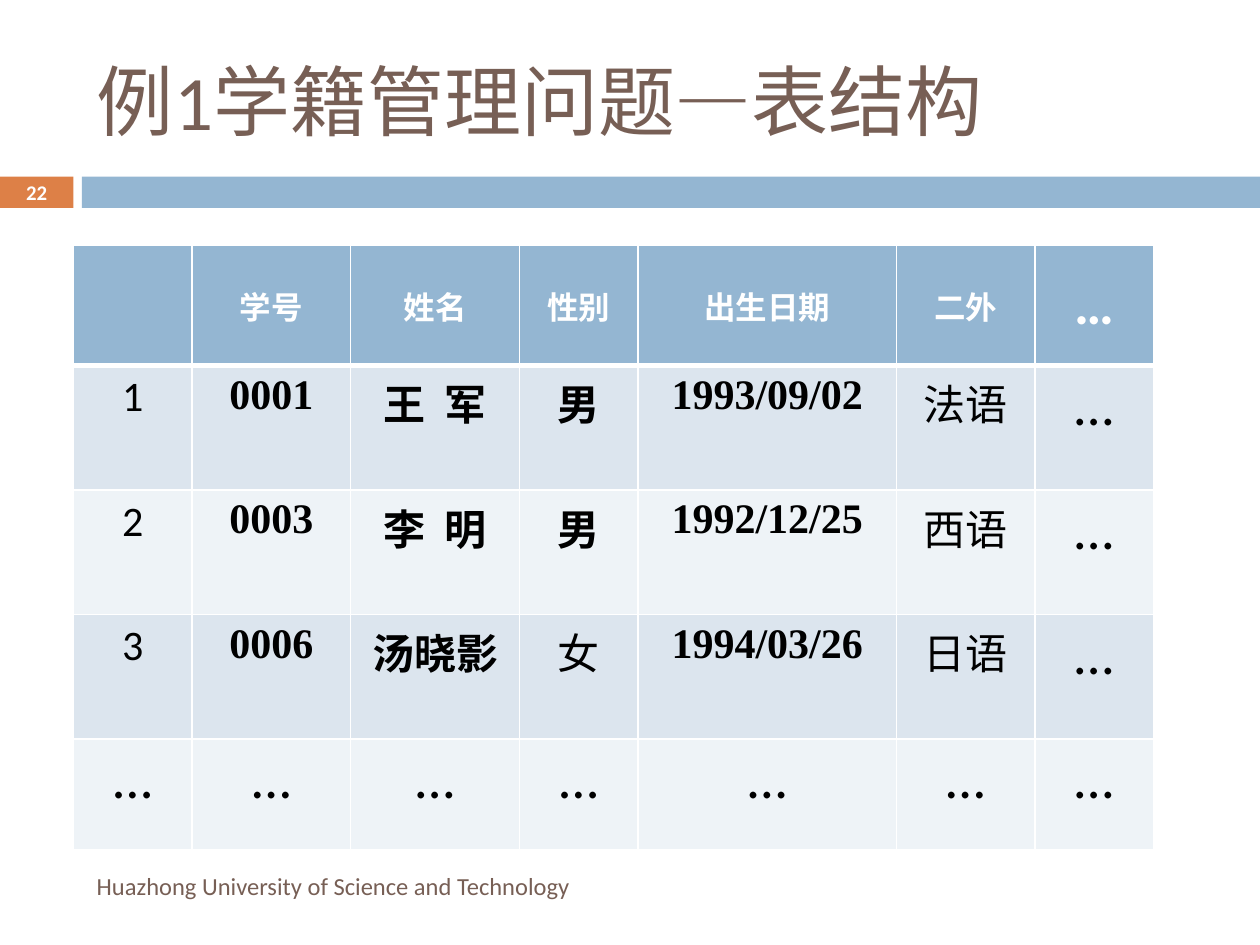
from lxml.etree import SubElement
from pptx import Presentation
from pptx.dml.color import RGBColor
from pptx.enum.shapes import MSO_SHAPE
from pptx.enum.text import MSO_ANCHOR, PP_ALIGN
from pptx.oxml.ns import qn
from pptx.util import Cm, Pt


def color(value):
    return RGBColor.from_string(value)


def format_text(frame, text, size, font_name, font_color, bold=False, align=PP_ALIGN.LEFT):
    frame.word_wrap = True
    frame.vertical_anchor = MSO_ANCHOR.MIDDLE
    paragraph = frame.paragraphs[0]
    paragraph.text = text
    paragraph.alignment = align
    paragraph.font.size = Pt(size)
    paragraph.font.name = font_name
    paragraph.font.bold = bold
    paragraph.font.color.rgb = color(font_color)


BLUE, ORANGE, BROWN, WHITE, BLACK = "94B6D2", "DD8047", "775F55", "FFFFFF", "000000"
BAND_COLORS = ["DCE5EE", "EEF3F7"]
SANS, SERIF = "Calibri", "Times New Roman"

presentation = Presentation()
presentation.slide_width = Cm(25.4)
presentation.slide_height = Cm(19.05)
slide = presentation.slides.add_slide(presentation.slide_layouts[5])

for left, width, fill in [(0, 1.48, ORANGE), (1.65, 23.75, BLUE)]:
    bar = slide.shapes.add_shape(MSO_SHAPE.RECTANGLE, Cm(left), Cm(3.56), Cm(width), Cm(0.63))
    bar.shadow.inherit = False
    bar.fill.solid()
    bar.fill.fore_color.rgb = color(fill)
    bar.line.fill.background()

title = slide.shapes.title
title.left, title.top, title.width, title.height = Cm(1.7), Cm(0.64), Cm(22.66), Cm(2.74)
format_text(title.text_frame, "例1学籍管理问题—表结构", 44, SANS, BROWN)

footer = slide.shapes.add_textbox(Cm(1.7), Cm(17.35), Cm(15.06), Cm(1.02))
format_text(footer.text_frame, "Huazhong University of Science and Technology", 14, SANS, BROWN)

number = slide.shapes.add_textbox(Cm(0), Cm(3.53), Cm(1.48), Cm(0.69))
number.text_frame.margin_left = number.text_frame.margin_right = Cm(0)
number.text_frame.margin_top = number.text_frame.margin_bottom = Cm(0)
format_text(number.text_frame, "22", 11.9, SANS, WHITE, True, PP_ALIGN.CENTER)

rows = [
    ["", "学号", "姓名", "性别", "出生日期", "二外", "…"],
    ["1", "0001", "王  军", "男", "1993/09/02", "法语", "…"],
    ["2", "0003", "李  明", "男", "1992/12/25", "西语", "…"],
    ["3", "0006", "汤晓影", "女", "1994/03/26", "日语", "…"],
    ["…"] * 7,
]
column_widths = [2.39, 3.2, 3.4, 2.39, 5.21, 2.79, 2.39]
row_heights = [2.43, 2.51, 2.51, 2.51, 2.24]

table = slide.shapes.add_table(
    len(rows), len(column_widths), Cm(1.48), Cm(4.94), Cm(sum(column_widths)), Cm(sum(row_heights))
).table
table.horz_banding = False
for column, width in zip(table.columns, column_widths):
    column.width = Cm(width)
for row, height in zip(table.rows, row_heights):
    row.height = Cm(height)

for row_index, texts in enumerate(rows):
    is_header = row_index == 0
    for column_index, text in enumerate(texts):
        cell = table.cell(row_index, column_index)
        is_serif = 1 <= column_index <= 4 and text not in ("女", "…")
        size = 32 if text == "…" else 18 if is_header else 24
        format_text(
            cell.text_frame, text, size, SERIF if is_serif else SANS,
            WHITE if is_header else BLACK, is_header or is_serif, PP_ALIGN.CENTER,
        )
        cell.vertical_anchor = MSO_ANCHOR.MIDDLE if is_header else MSO_ANCHOR.TOP
        properties = cell._tc.get_or_add_tcPr()
        for side in ("L", "R", "T", "B"):
            is_thick = (row_index, side) in [(0, "B"), (1, "T")]
            border = SubElement(properties, qn(f"a:ln{side}"), w=str(Pt(3 if is_thick else 1)))
            border_fill = SubElement(border, qn("a:solidFill"))
            SubElement(border_fill, qn("a:srgbClr"), val=WHITE)
        cell.fill.solid()
        cell.fill.fore_color.rgb = color(BLUE if is_header else BAND_COLORS[(row_index - 1) % 2])

presentation.save("out.pptx")
